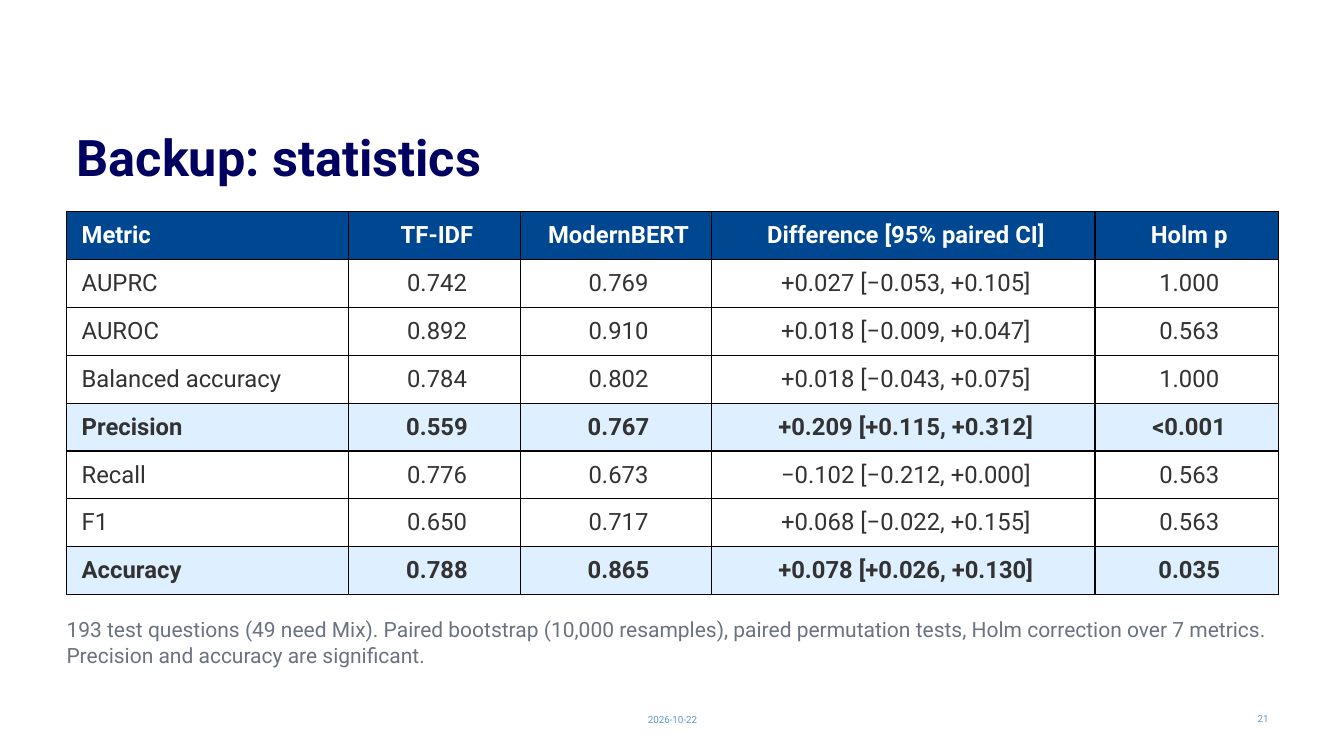
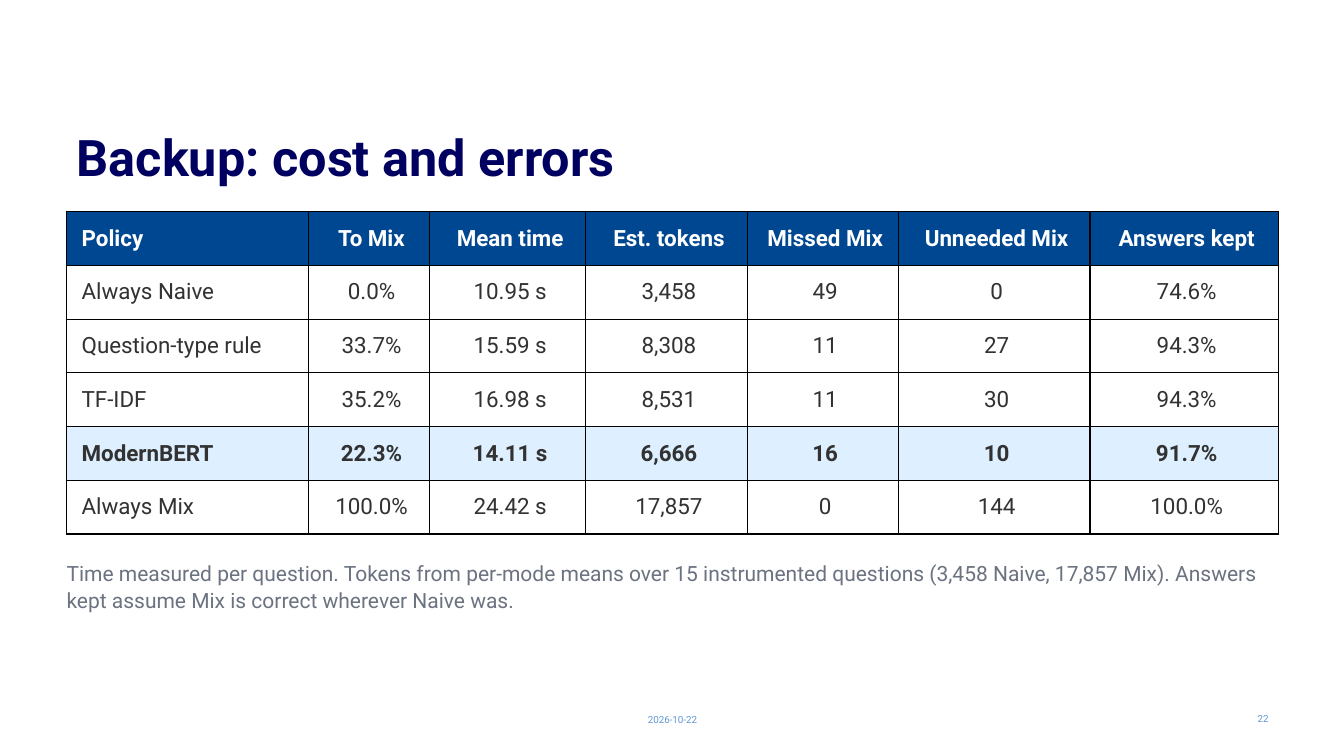
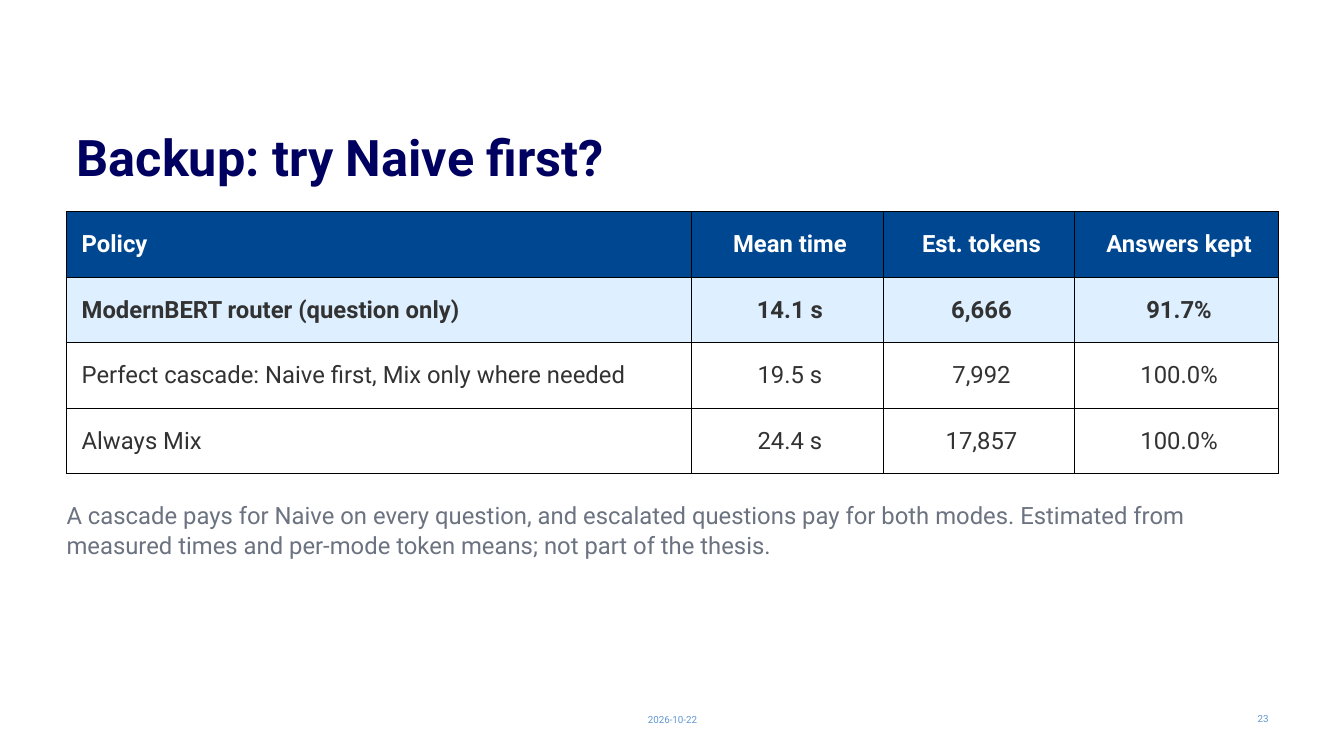
from lxml import etree
from pptx import Presentation, util as u
from pptx.dml.color import RGBColor
from pptx.enum import text as t
from pptx.oxml.ns import qn

COLORS = {
    "title": "000061", "header": "004791", "highlight": "DEF0FF", "plain": "FFFFFF",
    "header_text": "FFFFFF", "body": "323232", "note": "6B7280", "footer": "6198D2",
    "border": "000000",
}
FONT = "Roboto"
LEFT, WIDTH = 0.66, 12.02
TABLE_TOP = 2.1
DATE = "2026-10-22"
CENTER, RIGHT = t.PP_ALIGN.CENTER, t.PP_ALIGN.RIGHT
MIDDLE, TOP = t.MSO_ANCHOR.MIDDLE, t.MSO_ANCHOR.TOP

SLIDES = [
    {
        "title": "Backup: statistics", "number": "21", "size": 17, "height": 3.8,
        "columns": [2.8, 1.7, 1.9, 3.8, 1.82], "highlights": [4, 7],
        "rows": [
            ["Metric", "TF-IDF", "ModernBERT", "Difference [95% paired CI]", "Holm p"],
            ["AUPRC", "0.742", "0.769", "+0.027 [−0.053, +0.105]", "1.000"],
            ["AUROC", "0.892", "0.910", "+0.018 [−0.009, +0.047]", "0.563"],
            ["Balanced accuracy", "0.784", "0.802", "+0.018 [−0.043, +0.075]", "1.000"],
            ["Precision", "0.559", "0.767", "+0.209 [+0.115, +0.312]", "<0.001"],
            ["Recall", "0.776", "0.673", "−0.102 [−0.212, +0.000]", "0.563"],
            ["F1", "0.650", "0.717", "+0.068 [−0.022, +0.155]", "0.563"],
            ["Accuracy", "0.788", "0.865", "+0.078 [+0.026, +0.130]", "0.035"],
        ],
        "note": "193 test questions (49 need Mix). Paired bootstrap (10,000 resamples), paired "
                "permutation tests, Holm correction over 7 metrics. Precision and accuracy are "
                "significant.",
        "note_top": 6.1, "note_height": 0.6, "note_size": 15,
    },
    {
        "title": "Backup: cost and errors", "number": "22", "size": 16, "height": 3.2,
        "columns": [2.4, 1.2, 1.55, 1.6, 1.5, 1.9, 1.87], "highlights": [4],
        "rows": [
            ["Policy", "To Mix", "Mean time", "Est. tokens", "Missed Mix", "Unneeded Mix",
             "Answers kept"],
            ["Always Naive", "0.0%", "10.95 s", "3,458", "49", "0", "74.6%"],
            ["Question-type rule", "33.7%", "15.59 s", "8,308", "11", "27", "94.3%"],
            ["TF-IDF", "35.2%", "16.98 s", "8,531", "11", "30", "94.3%"],
            ["ModernBERT", "22.3%", "14.11 s", "6,666", "16", "10", "91.7%"],
            ["Always Mix", "100.0%", "24.42 s", "17,857", "0", "144", "100.0%"],
        ],
        "note": "Time measured per question. Tokens from per-mode means over 15 instrumented "
                "questions (3,458 Naive, 17,857 Mix). Answers kept assume Mix is correct "
                "wherever Naive was.",
        "note_top": 5.55, "note_height": 1, "note_size": 15,
    },
    {
        "title": "Backup: try Naive first?", "number": "23", "size": 17, "height": 2.6,
        "columns": [6.2, 1.9, 1.9, 2.02], "highlights": [1],
        "rows": [
            ["Policy", "Mean time", "Est. tokens", "Answers kept"],
            ["ModernBERT router (question only)", "14.1 s", "6,666", "91.7%"],
            ["Perfect cascade: Naive first, Mix only where needed", "19.5 s", "7,992", "100.0%"],
            ["Always Mix", "24.4 s", "17,857", "100.0%"],
        ],
        "note": "A cascade pays for Naive on every question, and escalated questions pay for "
                "both modes. Estimated from measured times and per-mode token means; not part "
                "of the thesis.",
        "note_top": 4.95, "note_height": 1.2, "note_size": 17,
    },
]


def set_all(target, values):
    for name, value in values.items():
        setattr(target, name, value)


def inches(box):
    return [u.Inches(length) for length in box]


def margins(left, top, right, bottom):
    names = ("margin_left", "margin_top", "margin_right", "margin_bottom")
    return dict(zip(names, inches((left, top, right, bottom))))


def write(frame, content, size, color, bold=False, **paragraph_format):
    paragraph = frame.paragraphs[0]
    set_all(paragraph, paragraph_format)
    run = paragraph.add_run()
    run.text = content
    set_all(run.font, {"name": FONT, "size": u.Pt(size), "bold": bold})
    run.font.color.rgb = RGBColor.from_string(COLORS[color])


def add_title(slide, box, content):
    title = slide.shapes.title
    set_all(title, dict(zip(("left", "top", "width", "height"), inches(box))))
    set_all(title.text_frame, {
        **margins(0.1, 0.12, 0.1, 0.05), "vertical_anchor": TOP, "word_wrap": True,
        "auto_size": t.MSO_AUTO_SIZE.NONE,
    })
    write(title.text_frame, content, 36, "title", True,
          alignment=t.PP_ALIGN.LEFT, line_spacing=0.9)


def add_text(slide, box, content, size, color, frame_format, **paragraph_format):
    frame = slide.shapes.add_textbox(*inches(box)).text_frame
    set_all(frame, {"word_wrap": True, **frame_format})
    write(frame, content, size, color, **paragraph_format)


def add_footer(slide, number):
    middle = {"vertical_anchor": MIDDLE}
    add_text(slide, (4.42, 7.08, 4.5, 0.11), DATE, 7, "footer", middle, alignment=CENTER)
    add_text(slide, (9.68, 7.08, 3, 0.1), number, 7, "footer", middle, alignment=RIGHT)


def add_borders(cell):
    properties = cell._tc.get_or_add_tcPr()
    for side in ("lnL", "lnR", "lnT", "lnB"):
        line = etree.SubElement(properties, qn(f"a:{side}"), w=str(u.Pt(1)))
        fill = etree.SubElement(line, qn("a:solidFill"))
        etree.SubElement(fill, qn("a:srgbClr"), val=COLORS["border"])


def fill_cell(cell, content, size, fill, color, bold, alignment):
    add_borders(cell)
    cell.fill.solid()
    cell.fill.fore_color.rgb = RGBColor.from_string(COLORS[fill])
    set_all(cell, {**margins(0.15, 0.05, 0.1, 0.05), "vertical_anchor": MIDDLE})
    write(cell.text_frame, content, size, color, bold, alignment=alignment)


def add_table(slide, box, rows, columns, size, highlights):
    frame = slide.shapes.add_table(len(rows), len(columns), *inches(box))
    table = frame.table
    for column, width in zip(table.columns, columns):
        column.width = u.Inches(width)
    for row_index, (row, values) in enumerate(zip(table.rows, rows)):
        row.height = u.Inches(box[3] / len(rows))
        if row_index == 0:
            style = ("header", "header_text", True)
        elif row_index in highlights:
            style = ("highlight", "body", True)
        else:
            style = ("plain", "body", False)
        for column_index, (cell, value) in enumerate(zip(row.cells, values)):
            alignment = CENTER if column_index else t.PP_ALIGN.LEFT
            fill_cell(cell, value, size, *style, alignment)


def add_table_slide(presentation, data):
    slide = presentation.slides.add_slide(presentation.slide_layouts[5])
    add_title(slide, (LEFT, 1.2, WIDTH, 0.62), data["title"])
    add_footer(slide, data["number"])
    add_table(slide, (LEFT, TABLE_TOP, WIDTH, data["height"]), data["rows"],
              data["columns"], data["size"], data["highlights"])
    note_format = {**margins(0, 0, 0, 0), "auto_size": t.MSO_AUTO_SIZE.SHAPE_TO_FIT_TEXT}
    add_text(slide, (LEFT, data["note_top"], WIDTH, data["note_height"]), data["note"],
             data["note_size"], "note", note_format, line_spacing=1.05, space_after=u.Pt(6))


def main():
    presentation = Presentation()
    set_all(presentation, {"slide_width": u.Inches(13.33), "slide_height": u.Inches(7.5)})
    for data in SLIDES:
        add_table_slide(presentation, data)
    presentation.save("out.pptx")


if __name__ == "__main__":
    main()
